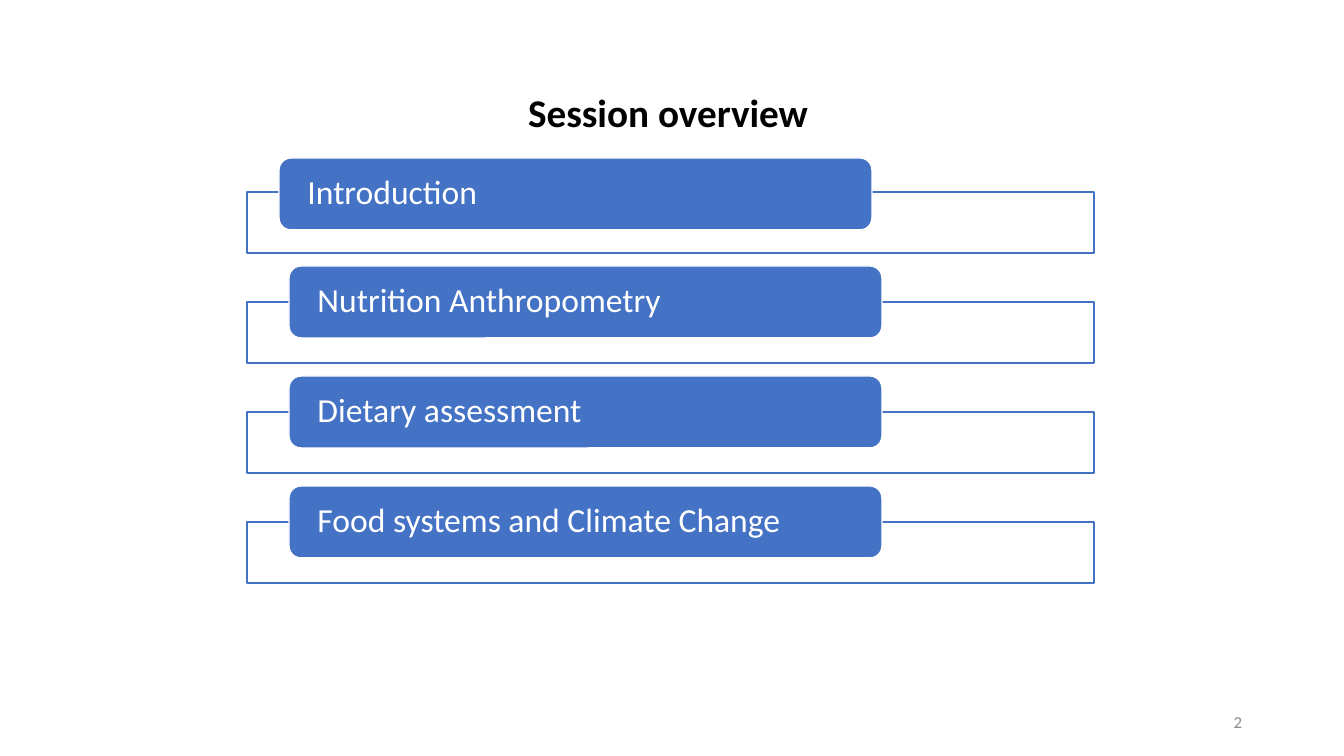
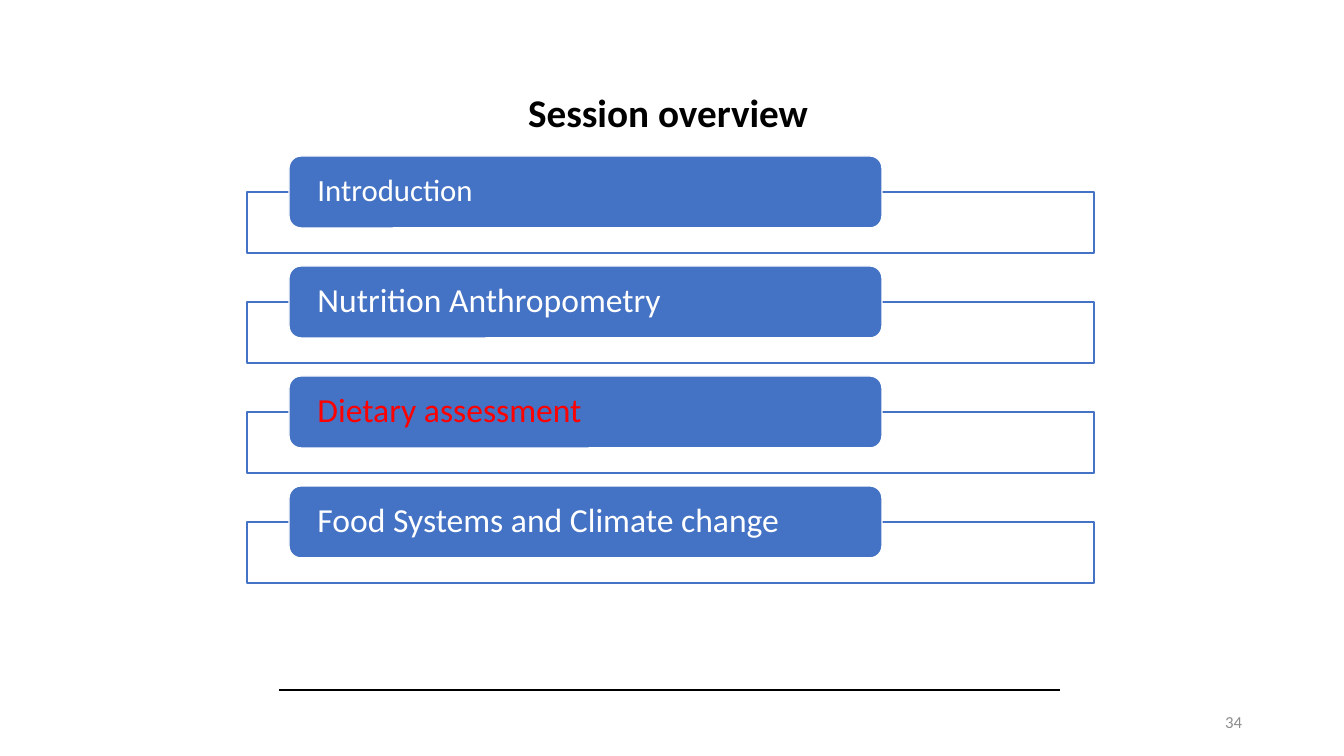
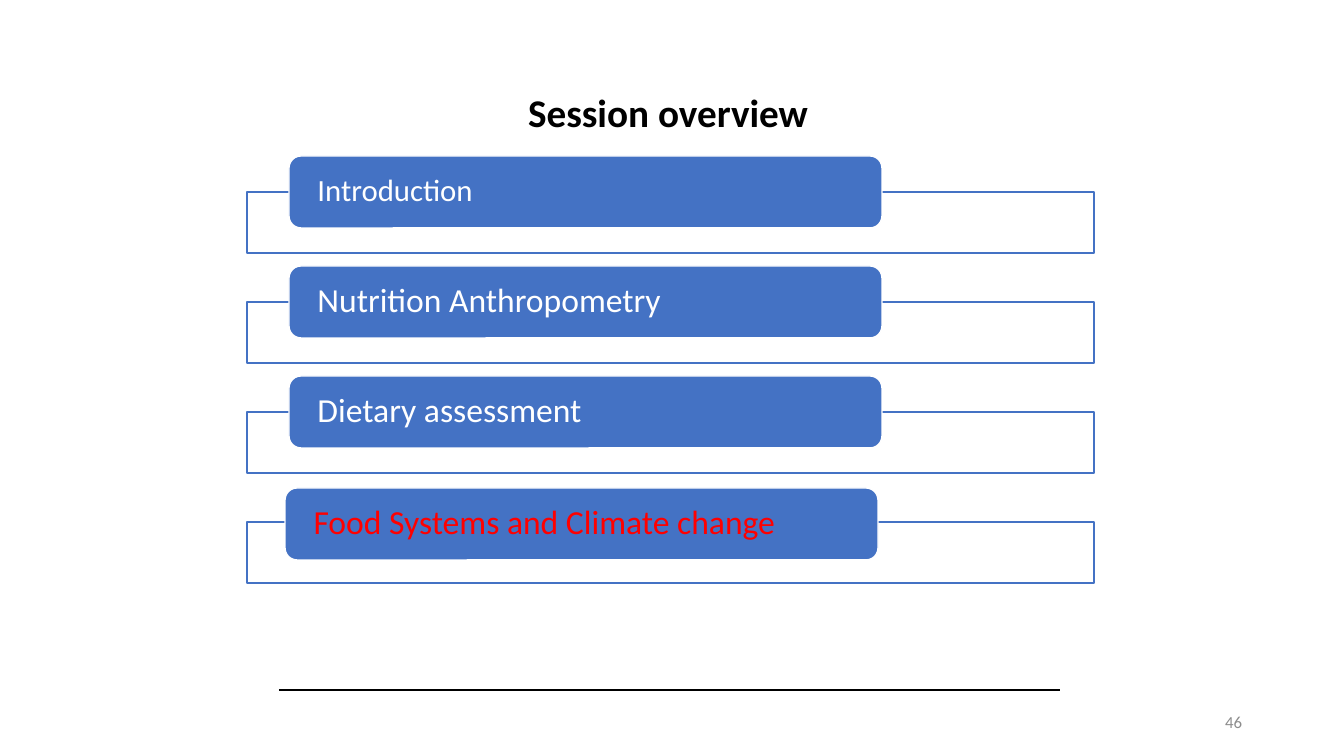
from lxml import etree
from pptx import Presentation
from pptx.dml.color import RGBColor
from pptx.enum.shapes import MSO_CONNECTOR, MSO_SHAPE
from pptx.enum.text import MSO_ANCHOR, MSO_AUTO_SIZE, PP_ALIGN
from pptx.oxml.ns import qn
from pptx.util import Pt

RECT, ROUNDED = MSO_SHAPE.RECTANGLE, MSO_SHAPE.ROUNDED_RECTANGLE
STRAIGHT = MSO_CONNECTOR.STRAIGHT
LEFT, RIGHT = PP_ALIGN.LEFT, PP_ALIGN.RIGHT
TOP, MIDDLE = MSO_ANCHOR.TOP, MSO_ANCHOR.MIDDLE
GROW = MSO_AUTO_SIZE.SHAPE_TO_FIT_TEXT

PX = 12192000 / 1344
FONT = "Calibri"
BLUE, WHITE, BLACK, RED, GREY = "4472C4", "FFFFFF", "000000", "FF0000", "8C8C8C"
PITCH = 110
FRAME_X, FRAME_Y, FRAME_W, FRAME_H = 247, 192, 847, 61
BAR_X, BAR_Y, BAR_W, BAR_H = 289, 156, 593, 72


def px(*lengths):
    return [round(n * PX) for n in lengths]


def color(target, value):
    """Give a solid fill, a line or a font its colour from a hex string."""
    if hasattr(target, "solid"):
        target.solid()
        target = target.fore_color
    else:
        target = target.color
    target.rgb = RGBColor.from_string(value)


# Each topic: wording, text size, text colour, shift of its bar.
SLIDES = [
    ("2", False, [
        ("Introduction", 24, WHITE, (-10, 2)),
        ("Nutrition Anthropometry", 24, WHITE, (0, 0)),
        ("Dietary assessment", 24, WHITE, (0, 0)),
        ("Food systems and Climate Change", 24, WHITE, (0, 0)),
    ]),
    ("34", True, [
        ("Introduction", 22, WHITE, (0, 0)),
        ("Nutrition Anthropometry", 24, WHITE, (0, 0)),
        ("Dietary assessment", 24, RED, (0, 0)),
        ("Food Systems and Climate change", 24, WHITE, (0, 0)),
    ]),
    ("46", True, [
        ("Introduction", 22, WHITE, (0, 0)),
        ("Nutrition Anthropometry", 24, WHITE, (0, 0)),
        ("Dietary assessment", 24, WHITE, (0, 0)),
        ("Food Systems and Climate change", 24, RED, (-4, 2)),
    ]),
]

prs = Presentation()
prs.slide_width, prs.slide_height = px(1344, 756)

for number, has_rule, topics in SLIDES:
    s = prs.slides.add_slide(prs.slide_layouts[5])

    if has_rule:
        rule = s.shapes.add_connector(STRAIGHT, *px(279, 690, 1060, 690))
        color(rule.line, BLACK)
        rule.line.width = Pt(1)
        etree.SubElement(rule._element.spPr, qn("a:effectLst"))

    title = s.shapes.title
    title.left, title.top, title.width, title.height = px(518, 83, 303, 57)
    page = s.shapes.add_textbox(*px(950, 702, 302, 40))
    for sp, text, size, value, align, anchor in [
        (title, "Session overview", 28, BLACK, LEFT, TOP),
        (page, number, 12, GREY, RIGHT, MIDDLE),
    ]:
        tf = sp.text_frame
        tf.text = text
        tf.vertical_anchor = anchor
        tf.word_wrap = sp is page
        p = tf.paragraphs[0]
        p.alignment = align
        p.font.name, p.font.size, p.font.bold = FONT, Pt(size), sp is title
        color(p.font, value)
    title.text_frame.auto_size = GROW

    for i, (text, size, value, (dx, dy)) in enumerate(topics):
        y = i * PITCH
        frame = s.shapes.add_shape(
            RECT, *px(FRAME_X, FRAME_Y + y, FRAME_W, FRAME_H))
        bar = s.shapes.add_shape(
            ROUNDED, *px(BAR_X + dx, BAR_Y + y + dy, BAR_W, BAR_H))
        for sp, fill, line in [(frame, WHITE, BLUE), (bar, BLUE, WHITE)]:
            color(sp.fill, fill)
            color(sp.line, line)
            sp.line.width = Pt(1)
            sp.shadow.inherit = False

        tf = bar.text_frame
        tf.text = text
        tf.vertical_anchor = MIDDLE
        tf.margin_left, tf.margin_top, tf.margin_right, tf.margin_bottom = px(
            25, 0, 25, 0)
        p = tf.paragraphs[0]
        p.alignment = LEFT
        p.line_spacing = 0.9
        p.font.name, p.font.size = FONT, Pt(size)
        color(p.font, value)

prs.save("out.pptx")
